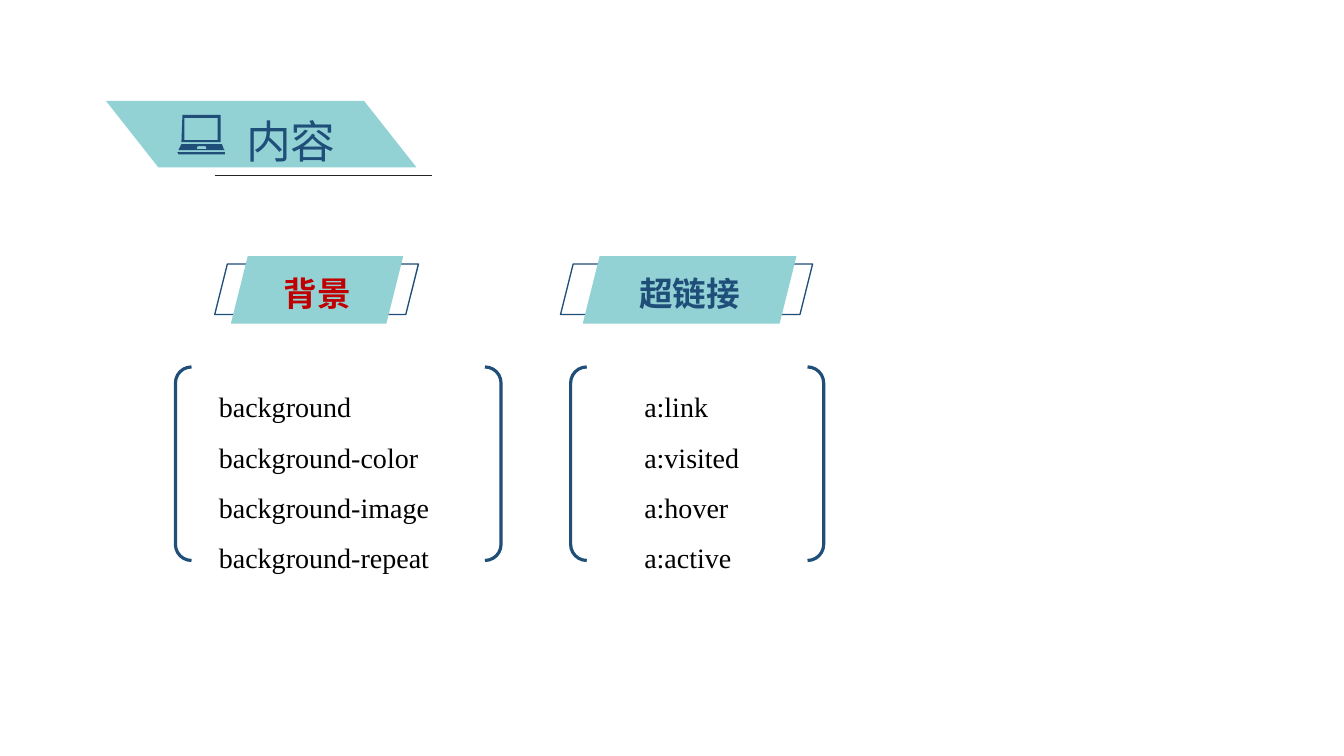
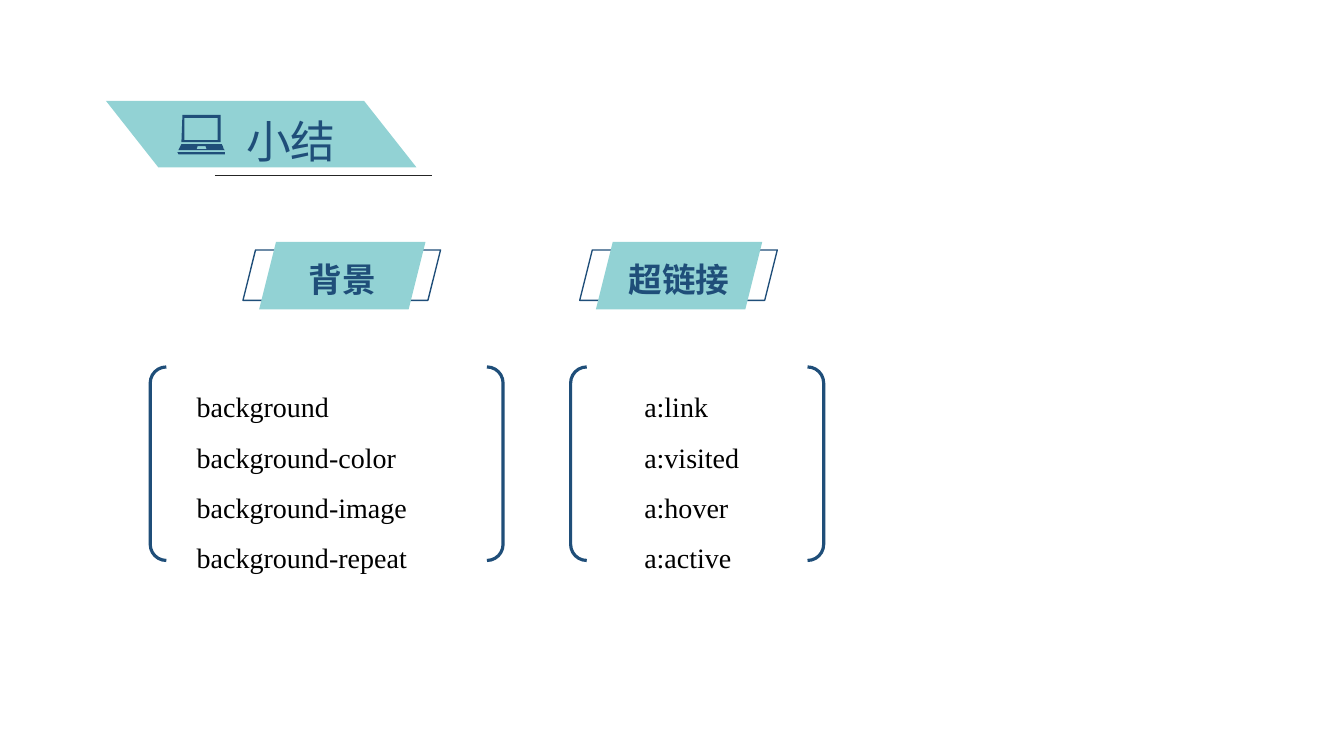
"""Build the contents slide and the summary slide on CSS backgrounds and links."""
from dataclasses import dataclass

from lxml import etree
from pptx import Presentation
from pptx import slide as sld
from pptx import util as u
from pptx.dml import color
from pptx.enum import shapes, text
from pptx.oxml import ns
from pptx.shapes import autoshape as auto

TEAL = color.RGBColor(0x92, 0xD2, 0xD4)
NAVY = color.RGBColor(0x1F, 0x4E, 0x79)
RED = color.RGBColor(0xC0, 0x00, 0x00)
INK = color.RGBColor(0x25, 0x25, 0x25)
BLACK = color.RGBColor(0x00, 0x00, 0x00)

Contour = list[tuple[float, float]]

BANNER: list[Contour] = [[(3.61, 1), (1.05, 1), (1.57, 1.66), (4.13, 1.66)]]
LAPTOP: list[Contour] = [
    [(2.2, 1.43), (1.8, 1.43), (1.77, 1.49), (2.23, 1.49), (2.22, 1.48),
     (1.95, 1.48), (1.96, 1.45), (2.21, 1.45)],
    [(2.21, 1.45), (2.04, 1.45), (2.05, 1.48), (2.22, 1.48)],
    [(2.19, 1.14), (1.81, 1.14), (1.8, 1.41), (2.19, 1.41), (2.19, 1.39),
     (1.83, 1.39), (1.83, 1.17), (2.19, 1.17)],
    [(2.19, 1.17), (2.16, 1.17), (2.16, 1.39), (2.19, 1.39)],
    [(2.23, 1.51), (1.76, 1.51), (1.77, 1.53), (2.23, 1.53)],
]


@dataclass(frozen=True)
class Font:
    """Typeface, size, colour and weight of a text."""
    name: str
    size: int
    rgb: color.RGBColor
    bold: bool = False


@dataclass(frozen=True)
class Tag:
    """Heading on a slanted plate in front of a slanted frame."""
    label: str
    left: float
    top: float
    width: float
    frame_left: float
    frame_width: float
    rgb: color.RGBColor = NAVY


@dataclass(frozen=True)
class Listing:
    """Terms between a left and a right bracket."""
    terms: tuple[str, ...]
    left: float
    bracket_left: float
    bracket_right: float


@dataclass(frozen=True)
class Page:
    """Title, tags and listings of one slide."""
    title: str
    tags: tuple[Tag, ...]
    listings: tuple[Listing, ...]


BACKGROUND = ("background", "background-color", "background-image", "background-repeat")
LINKS = Listing(("a:link", "a:visited", "a:hover", "a:active"), 6.38, 5.66, 8.01)

PAGES = (
    Page("内容",
         (Tag("背景", 2.29, 2.54, 1.71, 2.13, 2.02, RED),
          Tag("超链接", 5.78, 2.54, 2.12, 5.56, 2.5)),
         (Listing(BACKGROUND, 2.16, 1.74, 4.81), LINKS)),
    Page("小结",
         (Tag("超链接", 5.91, 2.4, 1.65, 5.75, 1.96),
          Tag("背景", 2.57, 2.4, 1.65, 2.41, 1.96)),
         (Listing(BACKGROUND, 1.94, 1.49, 4.83), LINKS)),
)


def paint(sp: auto.Shape, fill: color.RGBColor | None, width: float = 0) -> None:
    """Fill a shape, or outline it in navy when there is no fill."""
    sp.shadow.inherit = False
    if fill is None:
        sp.fill.background()
        sp.line.color.rgb = NAVY
        sp.line.width = u.Pt(width)
    else:
        sp.fill.solid()
        sp.fill.fore_color.rgb = fill
        sp.line.fill.background()


def add_preset(s: sld.Slide, kind: shapes.MSO_SHAPE, left: float, top: float,
               width: float, height: float) -> auto.Shape:
    """Add a preset shape placed in inches."""
    return s.shapes.add_shape(kind, u.Inches(left), u.Inches(top),
                              u.Inches(width), u.Inches(height))


def add_outline(s: sld.Slide, contours: list[Contour], fill: color.RGBColor) -> None:
    """Add a filled freeform made of closed contours."""
    points = [[(u.Inches(x), u.Inches(y)) for x, y in c] for c in contours]
    fb = s.shapes.build_freeform(*points[0][0])
    for i, c in enumerate(points):
        if i:
            fb.move_to(*c[0])
        fb.add_line_segments(c[1:], close=True)
    paint(fb.convert_to_shape(), fill)


def add_text(s: sld.Slide, lines: tuple[str, ...], left: float, top: float, width: float,
             height: float, font: Font, spacing: float = 1,
             align: text.PP_ALIGN = text.PP_ALIGN.LEFT) -> None:
    """Add a text box with one paragraph for each line."""
    sp = s.shapes.add_textbox(u.Inches(left), u.Inches(top), u.Inches(width), u.Inches(height))
    tf = sp.text_frame
    tf.word_wrap = True
    tf.margin_left = tf.margin_right = tf.margin_top = tf.margin_bottom = 0
    for i, line in enumerate(lines):
        p = tf.add_paragraph() if i else tf.paragraphs[0]
        p.alignment = align
        p.line_spacing = spacing
        r = p.add_run()
        r.text = line
        r.font.size = u.Pt(font.size)
        r.font.bold = font.bold
        r.font.color.rgb = font.rgb
        r.font.name = font.name
        ea = etree.SubElement(r.font._element, ns.qn("a:ea"))
        ea.set("typeface", font.name)


def add_header(s: sld.Slide, title: str) -> None:
    """Draw the banner, its rule, the title and the laptop icon."""
    add_outline(s, BANNER, TEAL)
    rule = s.shapes.add_connector(shapes.MSO_CONNECTOR.STRAIGHT, u.Inches(2.13),
                                  u.Inches(1.74), u.Inches(4.28), u.Inches(1.74))
    rule.line.color.rgb = INK
    rule.line.width = u.Pt(0.48)
    etree.SubElement(rule.element.spPr, ns.qn("a:effectLst"))
    add_text(s, (title,), 2.44, 1.13, 0.92, 0.47, Font("Noto Sans Mono", 32, NAVY))
    add_outline(s, LAPTOP, NAVY)


def add_tag(s: sld.Slide, tag: Tag) -> None:
    """Draw a frame, the plate over it and the centred label."""
    kind = shapes.MSO_SHAPE.PARALLELOGRAM
    paint(add_preset(s, kind, tag.frame_left, tag.top + 0.08, tag.frame_width, 0.5), None, 0.96)
    paint(add_preset(s, kind, tag.left, tag.top, tag.width, 0.67), TEAL)
    add_text(s, (tag.label,), tag.left, tag.top + 0.17, tag.width, 0.36,
             Font("Noto Sans CJK SC", 24, tag.rgb, True), align=text.PP_ALIGN.CENTER)


def add_listing(s: sld.Slide, listing: Listing) -> None:
    """Draw the two brackets and the terms between them."""
    for kind, left in ((shapes.MSO_SHAPE.LEFT_BRACKET, listing.bracket_left),
                       (shapes.MSO_SHAPE.RIGHT_BRACKET, listing.bracket_right)):
        sp = add_preset(s, kind, left, 3.64, 0.16, 1.92)
        sp.adjustments[0] = 1
        paint(sp, None, 2.28)
    add_text(s, listing.terms, listing.left + 0.01, 3.7, listing.bracket_right - listing.left,
             1.81, Font("Times New Roman", 20, BLACK), 1.5)


def main() -> None:
    """Build every page and save the presentation."""
    prs = Presentation()
    prs.slide_width, prs.slide_height = u.Inches(13.33), u.Inches(7.5)
    for page in PAGES:
        s = prs.slides.add_slide(prs.slide_layouts[6])
        add_header(s, page.title)
        for tag in page.tags:
            add_tag(s, tag)
        for listing in page.listings:
            add_listing(s, listing)
    prs.save("out.pptx")


main()
